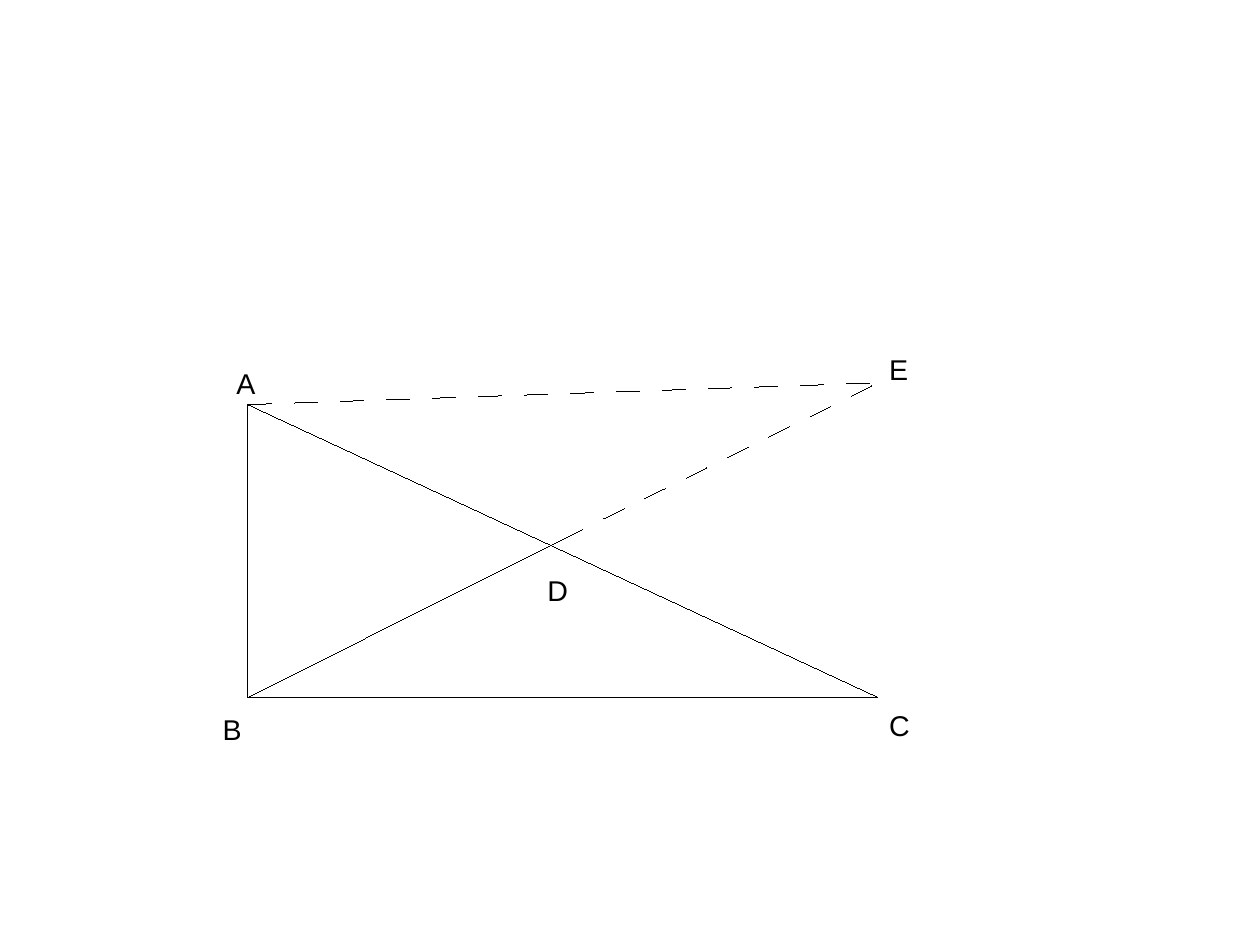
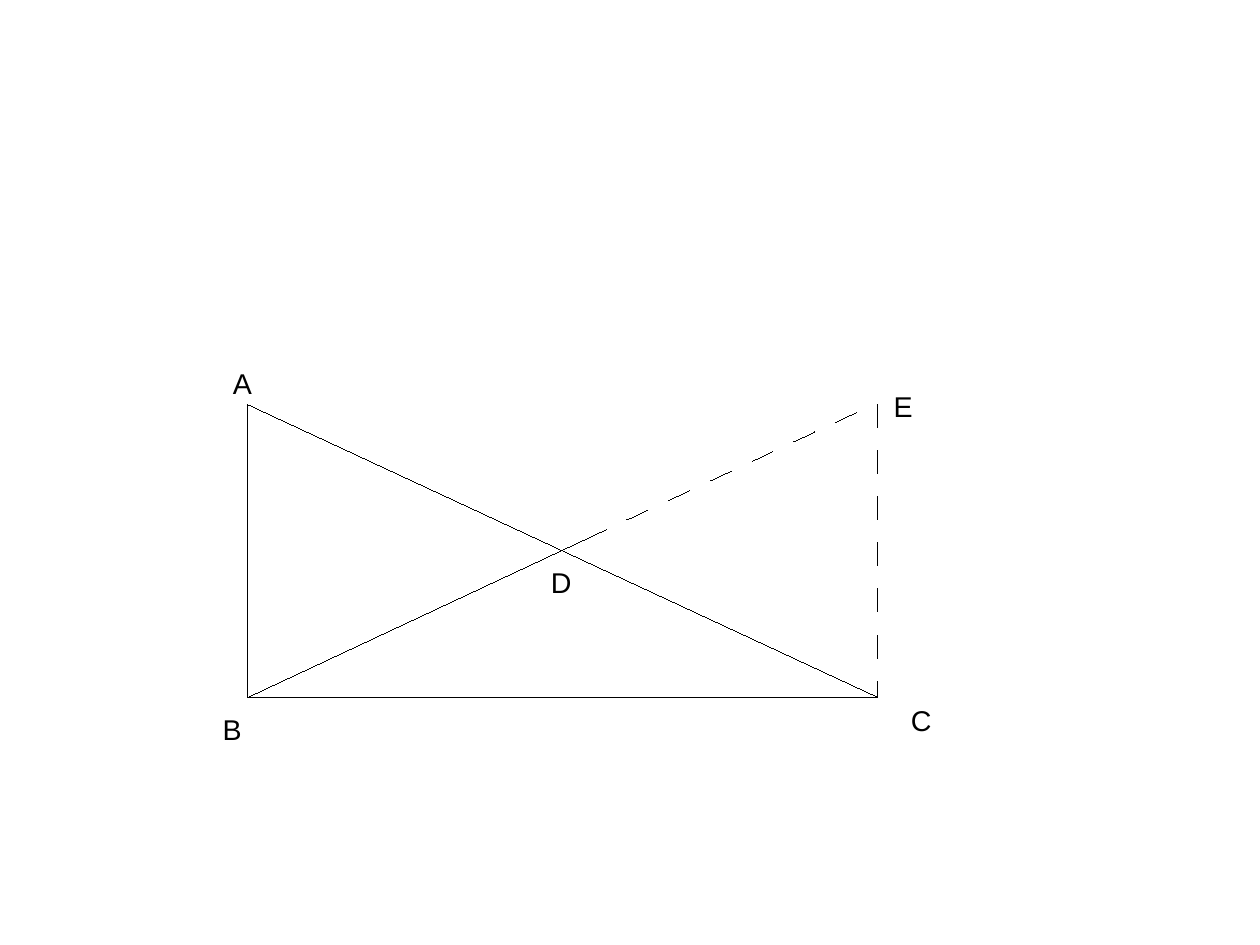
from lxml.etree import SubElement as Sub
from pptx import Presentation
from pptx.dml.color import RGBColor as Rgb
from pptx.enum.shapes import MSO_CONNECTOR as Conn
from pptx.enum.text import MSO_AUTO_SIZE as Fit
from pptx.oxml.ns import qn
from pptx.util import Cm, Inches, Pt

WIDE, HIGH = Cm(28), Cm(21)
INK, FONT, SIZE = "000000", "Arial", 18
LEFT, RIGHT, TOP, BASE, MID = 2.17, 7.68, 3.54, 6.1, 4.72
BOX = 0.38
DASH = 1900

CORNERS = {"A": (LEFT, TOP), "B": (LEFT, BASE), "C": (RIGHT, BASE)}
SOLID = ["CB", "AB", "AC", "BD"]
FIGURES = [
    {
        "points": {"D": (4.92, MID), "E": (RIGHT, 3.35)},
        "dashed": ["DE", "AE"],
        "labels": {"A": (1.97, 3.15), "B": (1.85, 6.18), "C": (7.68, 6.14),
                   "D": (4.69, 4.96), "E": (7.68, 3.03)},
    },
    {
        "points": {"D": (5.12, MID), "E": (7.64, TOP), "F": (RIGHT, TOP)},
        "dashed": ["DE", "FC"],
        "labels": {"A": (1.94, 3.15), "B": (1.85, 6.18), "C": (7.87, 6.1),
                   "D": (4.72, 4.89), "E": (7.72, 3.35)},
    },
]


def color(code):
    return Rgb.from_string(code)


def add_side(slide, start, end, dashed):
    ends = [Inches(n) for n in (*start, *end)]
    side = slide.shapes.add_connector(Conn.STRAIGHT, *ends)
    side.line.color.rgb = color(INK)
    props = side._element.spPr
    line = props.find(qn("a:ln"))
    line.set("w", "0")
    if dashed:
        dash = Sub(line, qn("a:custDash"))
        Sub(dash, qn("a:ds"), d=str(DASH * 1000), sp=str(DASH * 1000))
    Sub(props, qn("a:effectLst"))


def add_label(slide, name, spot):
    width = BOX if name in "CD" else BOX - 0.02
    box = slide.shapes.add_textbox(*[Inches(n) for n in (*spot, width, BOX)])
    frame = box.text_frame
    frame.text = name
    frame.word_wrap = False
    frame.auto_size = Fit.SHAPE_TO_FIT_TEXT
    font = frame.paragraphs[0].runs[0].font
    font.name, font.size = FONT, Pt(SIZE)
    font.color.rgb = color(INK)


def add_figure(deck, figure):
    slide = deck.slides.add_slide(deck.slide_layouts[6])
    points = CORNERS | figure["points"]
    for pair in SOLID + figure["dashed"]:
        start, end = pair
        add_side(slide, points[start], points[end], pair in figure["dashed"])
    for name, spot in figure["labels"].items():
        add_label(slide, name, spot)


def main():
    deck = Presentation()
    deck.slide_width, deck.slide_height = WIDE, HIGH
    for figure in FIGURES:
        add_figure(deck, figure)
    deck.save("out.pptx")


if __name__ == "__main__":
    main()
